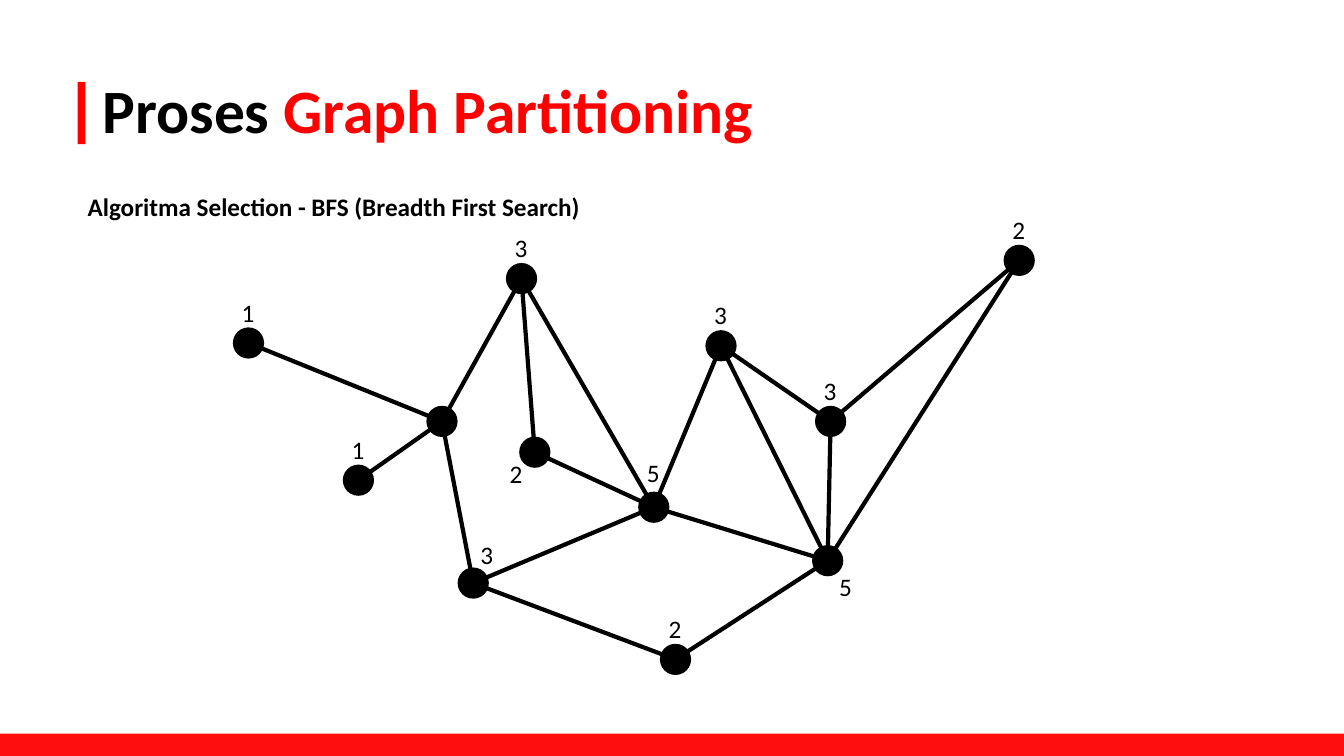
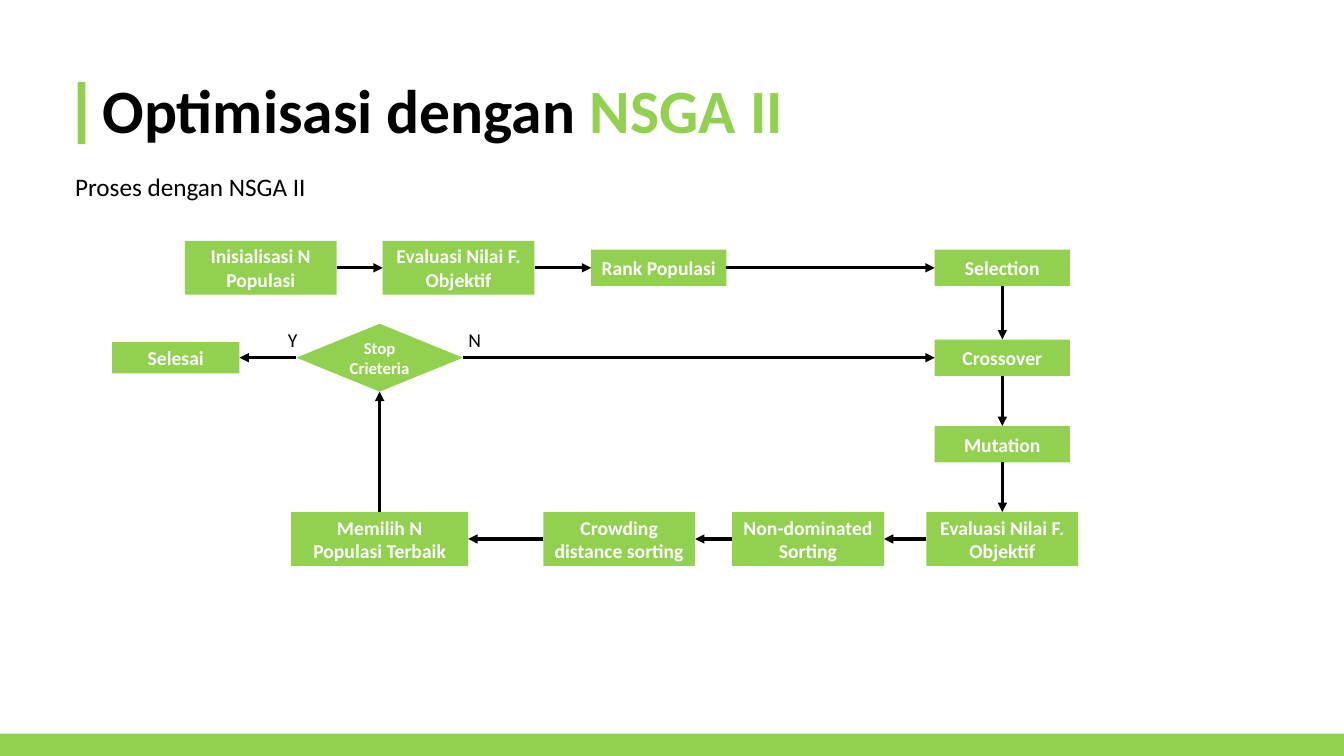
from dataclasses import dataclass

from lxml import etree
from pptx import Presentation
from pptx import util as u
from pptx.dml.color import RGBColor
from pptx.enum import shapes, text
from pptx.oxml import ns

TOP, LEFT, BOTTOM, RIGHT = range(4)


@dataclass(frozen=True)
class Theme:
    font: str = "Calibri"
    ink: str = "000000"
    paper: str = "FFFFFF"
    red: str = "FF0000"
    red_band: str = "FF0E0E"
    green: str = "92D050"
    title_size: float = 44
    text_size: float = 18
    step_size: float = 14
    decision_size: float = 12
    edge_width: float = 3
    arrow_width: float = 2.25


class Deck:
    def __init__(self, theme):
        self.theme = theme
        self.presentation = Presentation()
        self.presentation.slide_width = u.Pt(960)
        self.presentation.slide_height = u.Pt(540)
        self.slide = None

    def add_slide(self, lead, highlight, accent, band):
        theme = self.theme
        self.slide = self.presentation.slides.add_slide(self.presentation.slide_layouts[5])
        title = self.slide.shapes.title
        title.left, title.top, title.width, title.height = map(u.Pt, (66, 29, 828, 104))
        title.text_frame.vertical_anchor = text.MSO_ANCHOR.MIDDLE
        paragraph = title.text_frame.paragraphs[0]
        paragraph.alignment = text.PP_ALIGN.LEFT
        paragraph.line_spacing = 0.9
        self.run(paragraph, lead, theme.title_size, theme.ink, True)
        self.run(paragraph, highlight, theme.title_size, accent, True)
        self.shape(shapes.MSO_SHAPE.RECTANGLE, 55.5, 58.5, 5.5, 44.5, accent)
        self.shape(shapes.MSO_SHAPE.RECTANGLE, 0, 524, 960, 16, band)

    def run(self, paragraph, words, size, color, bold=False):
        run = paragraph.add_run()
        run.text = words
        run.font.name = self.theme.font
        run.font.size = u.Pt(size)
        run.font.bold = bold
        run.font.color.rgb = RGBColor.from_string(color)

    def shape(self, preset, left, top, width, height, color):
        shape = self.slide.shapes.add_shape(preset, *map(u.Pt, (left, top, width, height)))
        shape.shadow.inherit = False
        shape.fill.solid()
        shape.fill.fore_color.rgb = RGBColor.from_string(color)
        shape.line.fill.background()
        return shape

    def label(self, words, left, top, width, height, size, bold=False, wrap=False):
        box = self.slide.shapes.add_textbox(*map(u.Pt, (left, top, width, height)))
        box.text_frame.word_wrap = wrap
        self.run(box.text_frame.paragraphs[0], words, size, self.theme.ink, bold)

    def node(self, x, y, diameter=22.3):
        radius = diameter / 2
        self.shape(shapes.MSO_SHAPE.OVAL, x - radius, y - radius, diameter, diameter, self.theme.ink)

    def step(self, words, x, y, width, height, preset=shapes.MSO_SHAPE.RECTANGLE, size=None):
        shape = self.shape(preset, x - width / 2, y - height / 2, width, height, self.theme.green)
        shape.text_frame.word_wrap = True
        shape.text_frame.vertical_anchor = text.MSO_ANCHOR.MIDDLE
        paragraph = shape.text_frame.paragraphs[0]
        paragraph.alignment = text.PP_ALIGN.CENTER
        self.run(paragraph, words, size or self.theme.step_size, self.theme.paper, True)
        return shape

    def edge(self, start, end, width=None):
        connector = self.slide.shapes.add_connector(
            shapes.MSO_CONNECTOR.STRAIGHT, *map(u.Pt, (*start, *end)))
        connector.line.color.rgb = RGBColor.from_string(self.theme.ink)
        connector.line.width = u.Pt(width or self.theme.edge_width)
        etree.SubElement(connector._element.spPr, ns.qn("a:effectLst"))
        return connector

    def arrow(self, source, source_side, target, target_side):
        connector = self.edge((0, 0), (0, 0), self.theme.arrow_width)
        connector.begin_connect(source, source_side)
        connector.end_connect(target, target_side)
        outline = connector._element.spPr.find(ns.qn("a:ln"))
        etree.SubElement(outline, ns.qn("a:tailEnd"), type="triangle")


def graph_slide(deck):
    theme = deck.theme
    deck.add_slide("Proses ", "Graph Partitioning", theme.red, theme.red_band)
    deck.label("Algoritma Selection - BFS (Breadth First Search)",
               55.5, 133, 379.5, 29, theme.text_size, bold=True, wrap=True)
    above = (-12, -36.5)
    nodes = {
        "far left": (177.5, 245, "1", above),
        "lower left": (256, 343, "1", above),
        "hub": (315.7, 301, "", above),
        "peak": (372.5, 199, "3", above),
        "inner": (382, 323, "2", (-25, 1)),
        "base": (338, 416.5, "3", (-2, -35)),
        "centre": (467, 362.3, "5", (-12, -39)),
        "bottom": (482.5, 471, "2", above),
        "right peak": (515, 247, "3", above),
        "right": (593.3, 301, "3", above),
        "lower right": (591.2, 400.5, "5", (1, 4)),
        "far right": (728, 186, "2", above),
    }
    edges = [
        ("hub", "far left"), ("hub", "lower left"), ("hub", "peak"), ("hub", "base"),
        ("peak", "inner"), ("peak", "centre"), ("inner", "centre"), ("base", "centre"),
        ("base", "bottom"), ("bottom", "lower right"), ("centre", "lower right"),
        ("centre", "right peak"), ("right peak", "lower right"), ("right peak", "right"),
        ("right", "lower right"), ("right", "far right"), ("far right", "lower right"),
    ]
    for start, end in edges:
        deck.edge(nodes[start][:2], nodes[end][:2])
    for x, y, degree, (shift_x, shift_y) in nodes.values():
        deck.node(x, y)
        if degree:
            deck.label(degree, x + shift_x, y + shift_y, 24, 29, theme.text_size)


def flow_slide(deck):
    theme = deck.theme
    deck.add_slide("Optimisasi dengan ", "NSGA II", theme.green, theme.green)
    deck.label("Proses dengan NSGA II", 46.5, 119, 181.5, 29, theme.text_size)

    large, small = (108.4, 38.5), (96.6, 26)
    first_row, second_row, third_row, last_row = 191.3, 255.5, 317.3, 385
    loop_x, right_x = 271.2, 716
    initial = deck.step("Inisialisasi N Populasi", 186.3, first_row, *large)
    evaluation = deck.step("Evaluasi Nilai F. Objektif", 327.6, first_row, *large)
    rank = deck.step("Rank Populasi", 470.6, first_row, *small)
    selection = deck.step("Selection", right_x, first_row, *small)
    crossover = deck.step("Crossover", right_x, second_row, *small)
    mutation = deck.step("Mutation", right_x, third_row, *small)
    reevaluation = deck.step("Evaluasi Nilai F. Objektif", right_x, last_row, *large)
    sorting = deck.step("Non-dominated Sorting", 577.2, last_row, *large)
    crowding = deck.step("Crowding distance sorting", 442.3, last_row, *large)
    best = deck.step("Memilih N Populasi Terbaik", loop_x, last_row, 126.5, 38.5)
    decision = deck.step("Stop Crieteria", loop_x, second_row, 119, 48.5,
                         shapes.MSO_SHAPE.DIAMOND, theme.decision_size)
    finish = deck.step("Selesai", 125.6, second_row, 91, 22.3)

    routes = [
        (RIGHT, LEFT, [initial, evaluation, rank, selection]),
        (BOTTOM, TOP, [selection, crossover, mutation, reevaluation]),
        (LEFT, RIGHT, [reevaluation, sorting, crowding, best]),
        (TOP, BOTTOM, [best, decision]),
        (RIGHT, LEFT, [decision, crossover]),
        (LEFT, RIGHT, [decision, finish]),
    ]
    for exit_side, entry_side, steps in routes:
        for source, target in zip(steps, steps[1:]):
            deck.arrow(source, exit_side, target, entry_side)
    for answer, left, width in (("N", 327.5, 24), ("Y", 198.5, 21.5)):
        deck.label(answer, left, 231, width, 24.5, theme.step_size)


def main():
    deck = Deck(Theme())
    graph_slide(deck)
    flow_slide(deck)
    deck.presentation.save("out.pptx")


if __name__ == "__main__":
    main()
